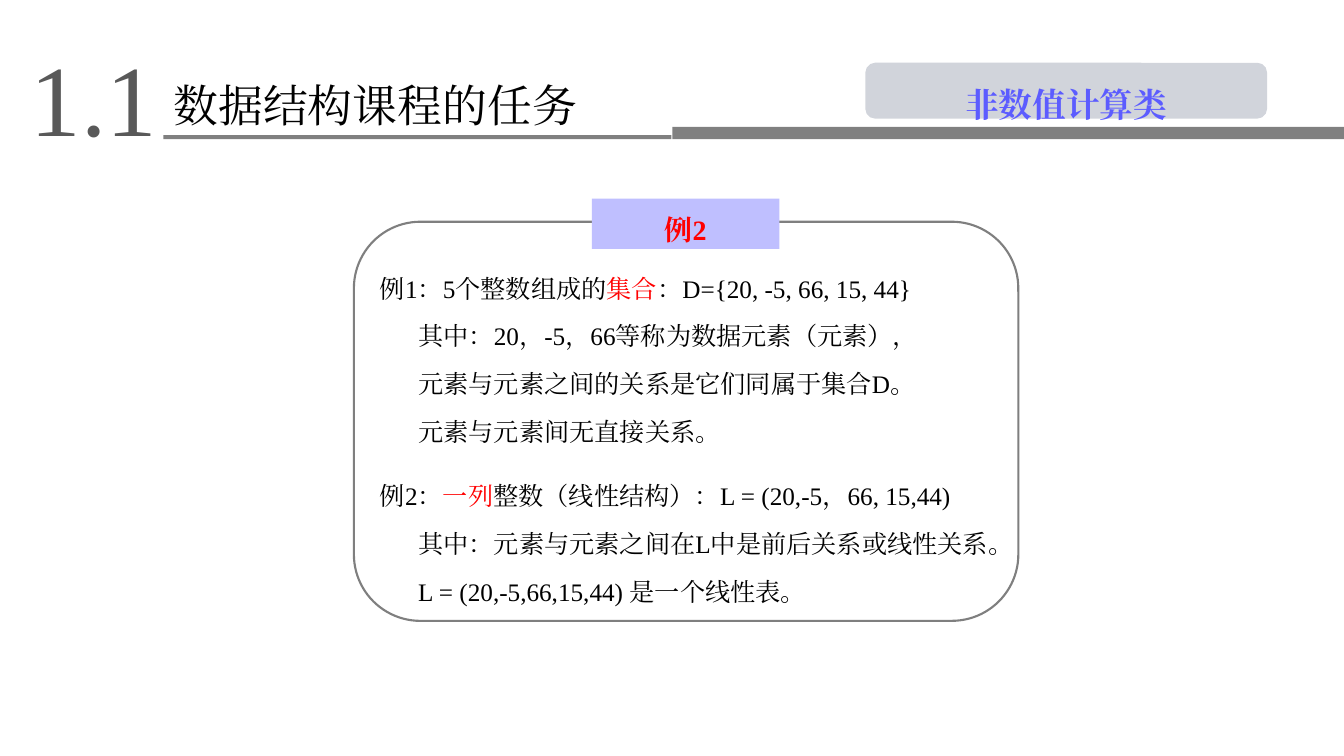
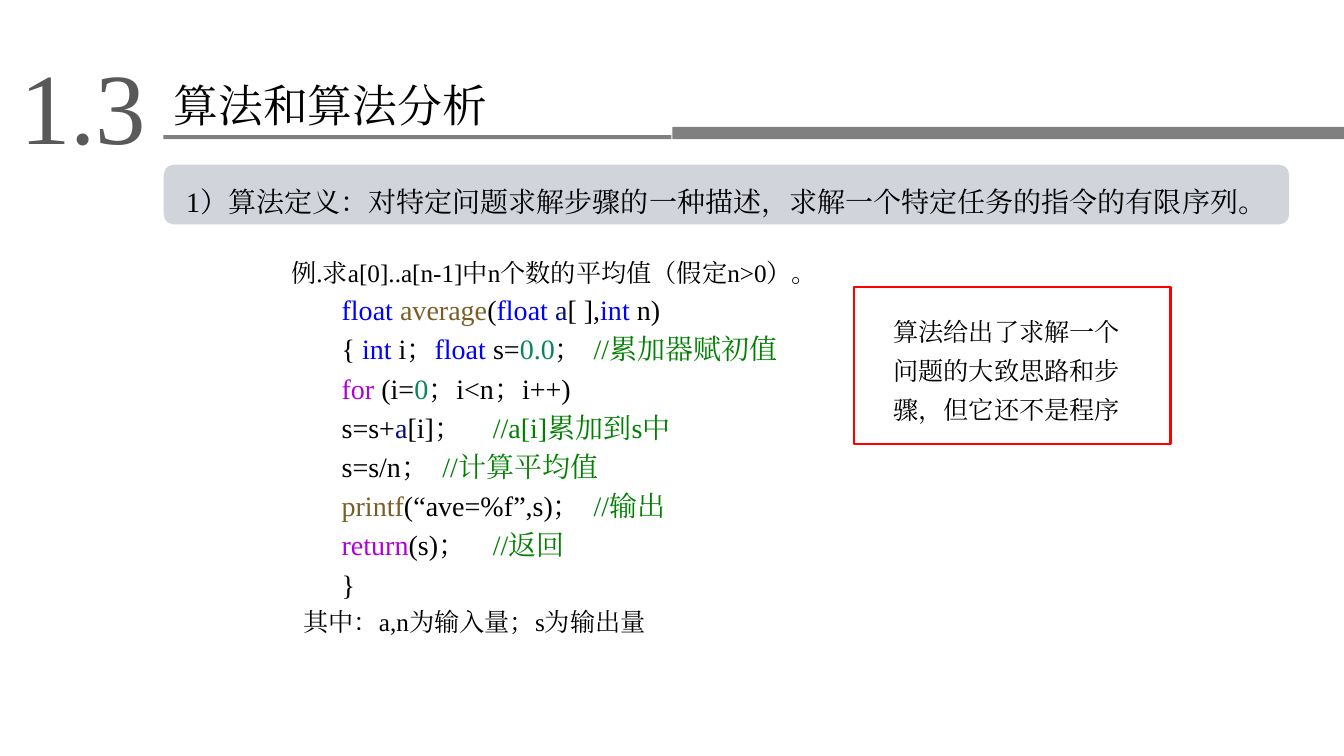
"""Build two lecture slides on data structures and algorithms."""
from lxml.etree import SubElement
from pptx import Presentation
from pptx.dml.color import RGBColor
from pptx.enum.shapes import MSO_SHAPE
from pptx.enum.text import MSO_ANCHOR, MSO_AUTO_SIZE, PP_ALIGN
from pptx.oxml.ns import qn
from pptx.util import Inches, Pt

FONT = "Times New Roman"
BLACK = RGBColor(0x00, 0x00, 0x00)
WHITE = RGBColor(0xFF, 0xFF, 0xFF)
RED = RGBColor(0xFF, 0x00, 0x00)
NUMBER_GRAY = RGBColor(0x59, 0x59, 0x59)
BAR_GRAY = RGBColor(0x80, 0x80, 0x80)
FRAME_GRAY = RGBColor(0x7F, 0x7F, 0x7F)
BANNER_GRAY = RGBColor(0xD1, 0xD4, 0xDB)
LILAC = RGBColor(0xBF, 0xBF, 0xFF)
VIOLET = RGBColor(0x5C, 0x5C, 0xFF)
KEYWORD = RGBColor(0x00, 0x00, 0xFF)
FUNCTION = RGBColor(0x79, 0x5E, 0x26)
VARIABLE = RGBColor(0x00, 0x10, 0x80)
LITERAL = RGBColor(0x09, 0x86, 0x58)
CONTROL = RGBColor(0xAF, 0x00, 0xDB)
COMMENT = RGBColor(0x00, 0x80, 0x00)

BARS = [(6.67, 1.26, 6.67, 0.12), (1.62, 1.34, 5.04, 0.04)]

EXAMPLES = [
    (["例1：5个整数组成的", ("集合", RED), "：D={20, -5, 66, 15, 44}"],
     ["其中：20，-5，66等称为数据元素（元素），",
      "元素与元素之间的关系是它们同属于集合D。",
      "元素与元素间无直接关系。"]),
    (["例2：", ("一列", RED), "整数（线性结构）：L = (20,-5，66, 15,44)"],
     ["其中：元素与元素之间在L中是前后关系或线性关系。",
      "L = (20,-5,66,15,44) 是一个线性表。"]),
]

CODE_INTRO = "例.求a[0]..a[n-1]中n个数的平均值（假定n>0）。"
CODE_OUTRO = "其中：a,n为输入量；s为输出量"
CODE = [
    (0.23, None, [("float ", KEYWORD), ("average", FUNCTION), "(", ("float ", KEYWORD),
                  ("a", VARIABLE), "[ ],", ("int", KEYWORD), " n)"]),
    (0.23, 3.23, ["{ ", ("int ", KEYWORD), "i；", ("float", KEYWORD), " s=",
                  ("0.0", LITERAL), "；", ("\t//累加器赋初值", COMMENT)]),
    (0.55, None, [("for", CONTROL), " (i=", ("0", LITERAL), "；i<n；i++)"]),
    (0.76, 3.09, ["s=s+", ("a", VARIABLE), "[i]；", ("\t//a[i]累加到s中", COMMENT)]),
    (0.55, 3.05, ["s=s/n；", ("\t//计算平均值", COMMENT)]),
    (0.55, 3.77, [("printf", FUNCTION), "(“ave=%f”,s)；", ("\t//输出", COMMENT)]),
    (0.55, 3.05, [("return", CONTROL), "(s)；", ("\t//返回", COMMENT)]),
    (0.29, None, ["}"]),
]


def write(paragraph, spans, size, color=BLACK, bold=False, align=PP_ALIGN.LEFT,
          spacing=None, before=0, after=0, margin=0, stops=()):
    """Fill a paragraph with spans, each plain text or a (text, colour) pair."""
    paragraph.alignment = align
    paragraph.space_before, paragraph.space_after = Pt(before), Pt(after)
    if spacing:
        paragraph.line_spacing = spacing
    properties = paragraph._p.get_or_add_pPr()
    properties.set("marL", str(Inches(margin)))
    properties.set("indent", "0")
    if stops:
        tabs = SubElement(properties, qn("a:tabLst"))
        for stop in stops:
            SubElement(tabs, qn("a:tab"), pos=str(Inches(stop)), algn="l")
    font = paragraph.font
    font.size, font.bold, font.name = Pt(size), bold, FONT
    font.color.rgb = color
    SubElement(properties.find(qn("a:defRPr")), qn("a:ea"), typeface=FONT)
    for span in spans:
        text, span_color = (span, None) if isinstance(span, str) else span
        run = paragraph.add_run()
        run.text = text
        if span_color is not None:
            run.font.color.rgb = span_color


def add_text(page, place):
    """Add a wrapping text box and return its frame."""
    frame = page.shapes.add_textbox(*map(Inches, place)).text_frame
    frame.word_wrap = True
    return frame


def add_block(page, kind, place, fill=None, line=None, width=1):
    """Add a flat preset shape."""
    shape = page.shapes.add_shape(kind, *map(Inches, place))
    shape.shadow.inherit = False
    if fill is None:
        shape.fill.background()
    else:
        shape.fill.solid()
        shape.fill.fore_color.rgb = fill
    if line is None:
        shape.line.fill.background()
    else:
        shape.line.color.rgb = line
        shape.line.width = Pt(width)
    return shape


def add_page(deck, number, number_place, title):
    """Add a slide with its section number, title and bars."""
    page = deck.slides.add_slide(deck.slide_layouts[5])
    heading = page.shapes.title
    heading.left, heading.top, heading.width, heading.height = map(
        Inches, (1.62, 0.72, 5, 0.64))
    frame = heading.text_frame
    frame.auto_size = MSO_AUTO_SIZE.NONE
    frame.vertical_anchor = MSO_ANCHOR.MIDDLE
    write(frame.paragraphs[0], [title], 32)
    write(add_text(page, number_place).paragraphs[0], [number], 72,
          NUMBER_GRAY, align=PP_ALIGN.CENTER)
    for place in BARS:
        add_block(page, MSO_SHAPE.RECTANGLE, place, BAR_GRAY)
    return page


def add_banner(page, place, text, size, color=BLACK, bold=False):
    """Add a rounded grey banner with one centred line."""
    frame = add_block(page, MSO_SHAPE.ROUNDED_RECTANGLE, place,
                      BANNER_GRAY, BANNER_GRAY).text_frame
    frame.vertical_anchor = MSO_ANCHOR.TOP
    frame.margin_top = Inches(0.06)
    frame.margin_left = frame.margin_right = Inches(0.05)
    write(frame.paragraphs[0], [text], size, color, bold, PP_ALIGN.CENTER, 1.3)


def build_task_page(deck):
    """Build the slide with the two examples."""
    page = add_page(deck, "1.1", (0.04, 0.31, 1.78, 1.31), "数据结构课程的任务")
    add_block(page, MSO_SHAPE.ROUNDED_RECTANGLE, (3.51, 2.2, 6.59, 3.96),
              WHITE, FRAME_GRAY, 1.5)
    label = add_block(page, MSO_SHAPE.RECTANGLE, (5.87, 1.97, 1.86, 0.5), LILAC)
    write(label.text_frame.paragraphs[0], ["例2"], 20, RED, True, PP_ALIGN.CENTER, 1.3)
    frame = add_text(page, (3.16, 2.57, 7.2, 3.5))
    paragraph = frame.paragraphs[0]
    for index, (lead, details) in enumerate(EXAMPLES):
        if index:
            paragraph = frame.add_paragraph()
        write(paragraph, lead, 18, spacing=1.3, before=12 * index, after=6, margin=0.51)
        for detail in details:
            write(frame.add_paragraph(), [detail], 18, spacing=1.3, after=6, margin=0.89)
    add_banner(page, (8.59, 0.63, 3.97, 0.54), "非数值计算类", 24, VIOLET, True)


def build_algorithm_page(deck):
    """Build the slide with the code sample."""
    page = add_page(deck, "1.3", (0.03, 0.38, 1.59, 1.31), "算法和算法分析")
    frame = add_text(page, (2.79, 2.41, 6.2, 4.17))
    write(frame.paragraphs[0], [CODE_INTRO], 18, spacing=1.3)
    for indent, comment, spans in CODE:
        stops = [indent, comment] if comment else [indent]
        write(frame.add_paragraph(), ["\t", *spans], 20, before=4, stops=stops)
    write(frame.add_paragraph(), [CODE_OUTRO], 18, before=4, margin=0.12)
    add_banner(page, (1.63, 1.64, 11.15, 0.58),
               "1）算法定义：对特定问题求解步骤的一种描述，求解一个特定任务的指令的有限序列。", 20)
    note = add_block(page, MSO_SHAPE.RECTANGLE, (8.47, 2.85, 3.14, 1.56),
                     line=RED, width=1.5).text_frame
    note.margin_left, note.margin_right = Inches(0.39), Inches(0.33)
    write(note.paragraphs[0], ["算法给出了求解一个问题的大致思路和步骤，但它还不是程序"],
          18, spacing=1.3)


def main():
    """Build and save the deck."""
    deck = Presentation()
    deck.slide_width, deck.slide_height = Inches(13.33), Inches(7.5)
    build_task_page(deck)
    build_algorithm_page(deck)
    deck.save("out.pptx")


if __name__ == "__main__":
    main()
